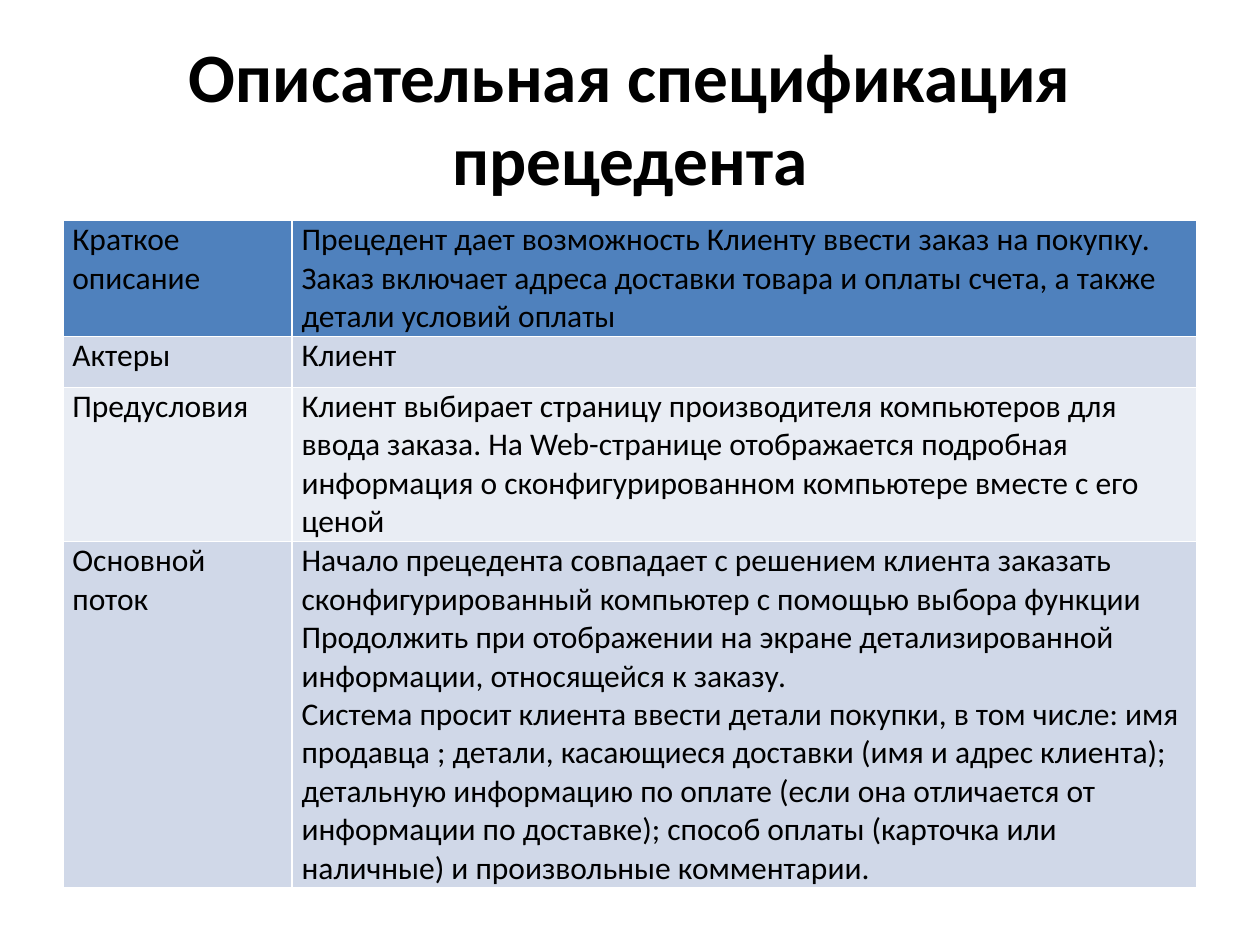
from pptx import Presentation
from pptx import util as u
from pptx.dml import color
from pptx.enum import text
from pptx.oxml import parse_xml
from pptx.oxml.ns import nsdecls

TITLE = "Описательная спецификация прецедента"
# Each row: height in cm, heading, list of paragraphs
ROWS = [
    (2.33, "Краткое описание", [
        "Прецедент дает возможность Клиенту ввести заказ на покупку. Заказ включает "
        "адреса доставки товара и оплаты счета, а также детали условий оплаты"]),
    (1.03, "Актеры", ["Клиент"]),
    (3.11, "Предусловия", [
        "Клиент выбирает страницу производителя компьютеров для ввода заказа. "
        "На Web-странице отображается подробная информация о сконфигурированном "
        "компьютере вместе с его ценой"]),
    (6.98, "Основной поток", [
        "Начало прецедента совпадает с решением клиента заказать сконфигурированный "
        "компьютер с помощью выбора функции Продолжить при отображении на экране "
        "детализированной информации, относящейся к заказу.",
        "Система просит клиента ввести детали покупки, в том числе: имя продавца ; "
        "детали, касающиеся доставки (имя и адрес клиента); детальную информацию по "
        "оплате (если она отличается от информации по доставке); способ оплаты "
        "(карточка или наличные) и произвольные комментарии."]),
]

THEME = {
    "font": "Calibri", "ink": "000000", "title_size": 39.6, "body_size": 18,
    "header": "4F81BD", "bands": ("D0D8E8", "E9EDF4"), "border": "FFFFFF",
}
LEFT, WIDTH = u.Cm(1.27), u.Cm(22.86)
COLUMNS = (u.Cm(4.62), u.Cm(18.24))


def write(frame, paragraphs, size=THEME["body_size"], bold=False,
          align=text.PP_ALIGN.LEFT, before=0):
    frame.word_wrap = True
    for index, content in enumerate(paragraphs):
        paragraph = frame.paragraphs[0] if index == 0 else frame.add_paragraph()
        paragraph.alignment = align
        paragraph.space_before = u.Pt(before)
        run = paragraph.add_run()
        run.text = content
        run.font.name = THEME["font"]
        run.font.size = u.Pt(size)
        run.font.bold = bold
        run.font.color.rgb = color.RGBColor.from_string(THEME["ink"])


def style_cell(cell, fill):
    cell.margin_left = cell.margin_right = u.Cm(0.19)
    cell.margin_top = cell.margin_bottom = 0
    properties = cell._tc.get_or_add_tcPr()
    for side in "LRTB":
        properties.append(parse_xml(
            f'<a:ln{side} {nsdecls("a")} w="{u.Pt(1)}"><a:solidFill>'
            f'<a:srgbClr val="{THEME["border"]}"/></a:solidFill></a:ln{side}>'))
    cell.fill.solid()
    cell.fill.fore_color.rgb = color.RGBColor.from_string(fill)


def main():
    presentation = Presentation()
    presentation.slide_width, presentation.slide_height = u.Cm(25.4), u.Cm(19.05)
    slide = presentation.slides.add_slide(presentation.slide_layouts[6])

    # Title
    title = slide.shapes.add_textbox(LEFT, u.Cm(0.76), WIDTH, u.Cm(3.18))
    title.text_frame.vertical_anchor = text.MSO_ANCHOR.MIDDLE
    write(title.text_frame, [TITLE], size=THEME["title_size"], bold=True,
          align=text.PP_ALIGN.CENTER)

    # Use case table
    total_height = u.Cm(sum(height for height, _, _ in ROWS))
    table = slide.shapes.add_table(len(ROWS), len(COLUMNS), LEFT, u.Cm(4.45),
                                   WIDTH, total_height).table
    for column, width in zip(table.columns, COLUMNS):
        column.width = width
    for index, (height, heading, details) in enumerate(ROWS):
        row = table.rows[index]
        row.height = u.Cm(height)
        fill = THEME["bands"][(index - 1) % 2] if index else THEME["header"]
        for cell, content in zip(row.cells, ([heading], details)):
            style_cell(cell, fill)
            write(cell.text_frame, content, before=12 if len(content) == 1 else 0)

    presentation.save("out.pptx")


if __name__ == "__main__":
    main()
